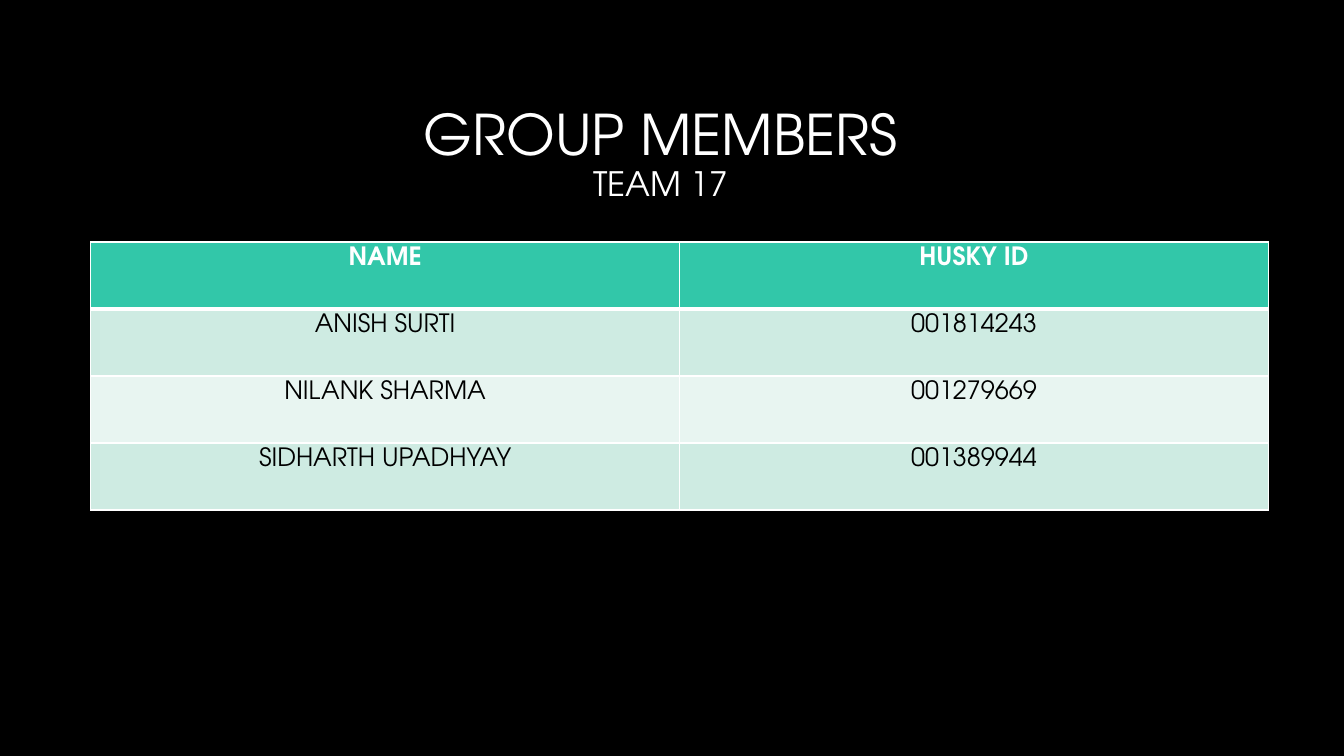
"""Build the group members slide with a title and a roster table."""
from dataclasses import dataclass

from pptx import Presentation
from pptx import util as u
from pptx.dml.color import RGBColor
from pptx.enum import text
from pptx.oxml import parse_xml
from pptx.oxml.ns import nsdecls

BLACK = RGBColor(0x00, 0x00, 0x00)
WHITE = RGBColor(0xFF, 0xFF, 0xFF)
TEAL = RGBColor(0x32, 0xC7, 0xA9)
MINT = RGBColor(0xCE, 0xEB, 0xE2)
PALE = RGBColor(0xE8, 0xF5, 0xF1)
FONT = "TeX Gyre Adventor"


@dataclass
class Row:
    name: str
    husky_id: str
    fill: RGBColor
    color: RGBColor = BLACK
    bold: bool = False
    top: float = 1
    bottom: float = 1


ROWS = [
    Row("NAME", "HUSKY ID", TEAL, WHITE, True, bottom=3),
    Row("ANISH SURTI", "001814243", MINT, top=3),
    Row("NILANK SHARMA", "001279669", PALE),
    Row("SIDHARTH UPADHYAY", "001389944", MINT),
]


def style_run(r, size: float, color: RGBColor, bold: bool = False) -> None:
    r.font.name = FONT
    r.font.size = u.Pt(size)
    r.font.color.rgb = color
    r.font.bold = bold


def set_borders(cell, row: Row) -> None:
    tc_pr = cell._tc.get_or_add_tcPr()
    widths = {"lnL": 1, "lnR": 1, "lnT": row.top, "lnB": row.bottom}
    for i, (side, width) in enumerate(widths.items()):
        tc_pr.insert(i, parse_xml(
            f'<a:{side} {nsdecls("a")} w="{u.Pt(width)}"><a:solidFill>'
            f'<a:srgbClr val="{WHITE}"/></a:solidFill></a:{side}>'))


def fill_cell(cell, value: str, row: Row) -> None:
    cell.margin_top = cell.margin_bottom = u.Inches(0.05)
    cell.fill.solid()
    cell.fill.fore_color.rgb = row.fill
    set_borders(cell, row)
    cell.text_frame.text = value
    p = cell.text_frame.paragraphs[0]
    p.alignment = text.PP_ALIGN.CENTER
    style_run(p.runs[0], 18, row.color, row.bold)


def add_title(s) -> None:
    sp = s.shapes.add_textbox(u.Inches(0.51), u.Inches(0.84), u.Inches(12.08), u.Inches(1.41))
    tf = sp.text_frame
    tf.word_wrap = True
    tf.vertical_anchor = text.MSO_ANCHOR.MIDDLE
    p = tf.paragraphs[0]
    p.text = "GROUP MEMBERS\vTEAM 17"
    p.alignment = text.PP_ALIGN.CENTER
    p.line_spacing = 0.9
    for r, size in zip(p.runs, (40, 24)):
        style_run(r, size, WHITE)


def add_roster(s) -> None:
    table = s.shapes.add_table(len(ROWS), 2, u.Inches(0.9), u.Inches(2.4),
                               u.Inches(11.68), u.Inches(2.66)).table
    for i, row in enumerate(ROWS):
        for j, value in enumerate((row.name, row.husky_id)):
            fill_cell(table.cell(i, j), value, row)


def main() -> None:
    prs = Presentation()
    prs.slide_width, prs.slide_height = u.Inches(13.33), u.Inches(7.5)
    s = prs.slides.add_slide(prs.slide_layouts[6])
    s.background.fill.solid()
    s.background.fill.fore_color.rgb = BLACK
    add_title(s)
    add_roster(s)
    prs.save("out.pptx")


if __name__ == "__main__":
    main()
